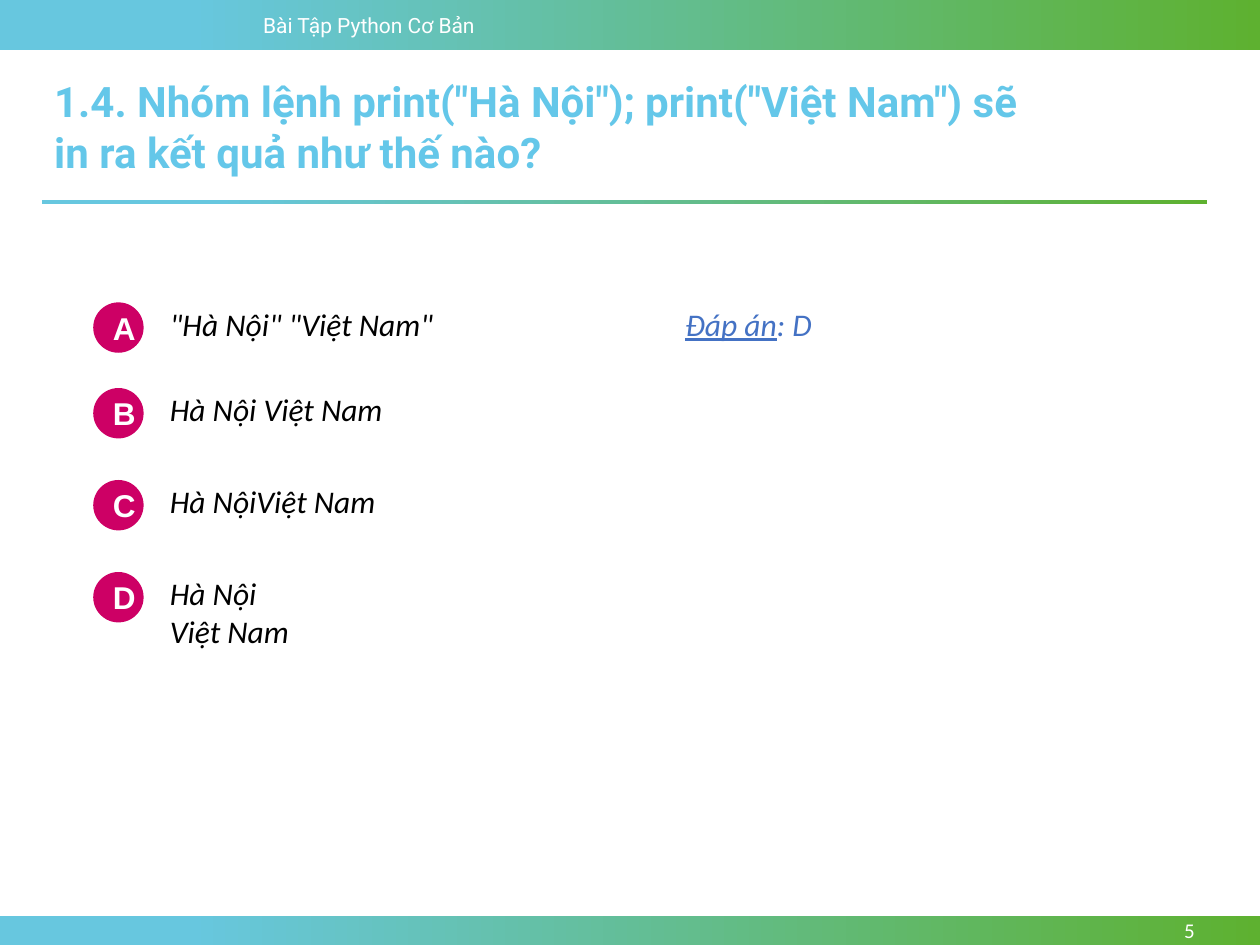
from pptx import Presentation
from pptx.dml.color import RGBColor
from pptx.enum.shapes import MSO_SHAPE
from pptx.enum.text import MSO_ANCHOR, MSO_AUTO_SIZE, PP_ALIGN
from pptx.util import Inches, Pt

RECTANGLE, OVAL = MSO_SHAPE.RECTANGLE, MSO_SHAPE.OVAL
TOP, MIDDLE = MSO_ANCHOR.TOP, MSO_ANCHOR.MIDDLE
LEFT, CENTER, RIGHT = PP_ALIGN.LEFT, PP_ALIGN.CENTER, PP_ALIGN.RIGHT
NO_FIT, GROW = MSO_AUTO_SIZE.NONE, MSO_AUTO_SIZE.SHAPE_TO_FIT_TEXT

COLORS = {
    "sky": "67C7DF", "leaf": "5EB130", "title": "64C7E9", "badge": "CD0065",
    "answer": "4472C4", "white": "FFFFFF", "black": "000000",
}
COURSE = "Bài Tập Python Cơ Bản"
QUESTION = '1.4. Nhóm lệnh print("Hà Nội"); print("Việt Nam") sẽ in ra kết quả như thế nào?'
PAGE_NUMBER = "5"
OPTIONS = [
    ("A", '"Hà Nội" "Việt Nam"', 2.37, 0.4),
    ("B", "Hà Nội Việt Nam", 3.05, 0.4),
    ("C", "Hà NộiViệt Nam", 3.78, 0.4),
    ("D", "Hà Nội\nViệt Nam", 4.51, 1.01),
]
ANSWER = ["Đáp án", ": D"]
BARS = [(0, 0, 10, 0.4), (0, 7.27, 10, 0.23), (0.33, 1.59, 9.25, 0.03)]
BADGE_SIZE = 0.4
BADGE_DROP = 0.03


def color(name):
    return RGBColor.from_string(COLORS[name])


def style(span, font, size, shade, bold=False, italic=False):
    span.font.name = font
    span.font.size = Pt(size)
    span.font.color.rgb = color(shade)
    span.font.bold = bold
    span.font.italic = italic


def write(shape, text, font, size, shade, align=LEFT, anchor=TOP, fit=NO_FIT,
          wrap=True, **looks):
    frame = shape.text_frame
    frame.word_wrap = wrap
    frame.auto_size = fit
    frame.vertical_anchor = anchor
    para = frame.paragraphs[0]
    para.text = text
    para.alignment = align
    for span in para.runs:
        style(span, font, size, shade, **looks)
    return para


def add_plain_shape(page, kind, place):
    shape = page.shapes.add_shape(kind, *map(Inches, place))
    shape.shadow.inherit = False
    shape.line.fill.background()
    return shape


def add_bar(page, place):
    fill = add_plain_shape(page, RECTANGLE, place).fill
    fill.gradient()
    fill.gradient_angle = 0
    for stop, position, shade in zip(fill.gradient_stops, (0.15, 1), ("sky", "leaf")):
        stop.position = position
        stop.color.rgb = color(shade)


def add_text(page, place, *args, **options):
    box = page.shapes.add_textbox(*map(Inches, place))
    return write(box, *args, **options)


def add_option(page, letter, text, top, height):
    badge = add_plain_shape(page, OVAL, (0.74, top + BADGE_DROP, BADGE_SIZE, BADGE_SIZE))
    badge.fill.solid()
    badge.fill.fore_color.rgb = color("badge")
    write(badge, letter, "Arial", 18, "white", align=CENTER, anchor=MIDDLE, bold=True)
    add_text(page, (1.25, top, 2.76, height), text, "Calibri", 18, "black", italic=True)


def main():
    deck = Presentation()
    deck.slide_width, deck.slide_height = Inches(10), Inches(7.5)
    page = deck.slides.add_slide(deck.slide_layouts[5])

    for place in BARS:
        add_bar(page, place)
    add_text(page, (1.99, 0.05, 2.25, 0.3), COURSE, "Roboto", 12, "white", fit=GROW)
    add_text(page, (8.66, 7.27, 0.92, 0.23), PAGE_NUMBER, "Calibri", 12, "white",
             align=RIGHT, anchor=MIDDLE)

    title = page.shapes.title
    title.left, title.top, title.width, title.height = map(Inches, (0.33, 0.55, 7.93, 0.91))
    write(title, QUESTION, "Roboto", 24, "title", bold=True)

    for option in OPTIONS:
        add_option(page, *option)

    label, value = ANSWER
    para = add_text(page, (5.34, 2.37, 1.22, 0.4), label, "Calibri", 18, "answer",
                    fit=GROW, wrap=False, italic=True)
    para.runs[0].font.underline = True
    span = para.add_run()
    span.text = value
    style(span, "Calibri", 18, "answer", italic=True)

    deck.save("out.pptx")


if __name__ == "__main__":
    main()
